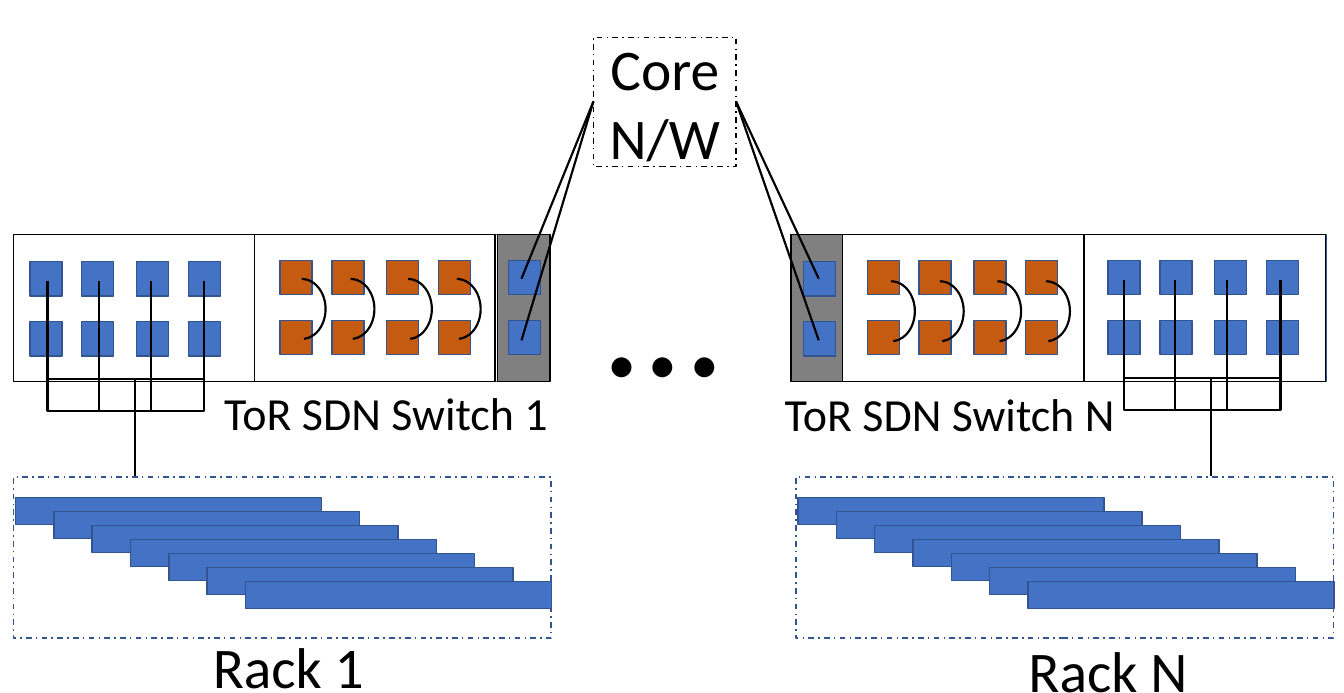
from dataclasses import dataclass

from lxml import etree
from pptx import Presentation
from pptx.dml.color import RGBColor
from pptx.enum.dml import MSO_LINE
from pptx.enum.shapes import MSO_CONNECTOR, MSO_SHAPE
from pptx.enum.text import MSO_ANCHOR, MSO_AUTO_SIZE, PP_ALIGN
from pptx.oxml.ns import qn
from pptx.util import Pt

BLACK, WHITE, GREY = "000000", "FFFFFF", "808080"
BLUE, NAVY, ORANGE = "4472C4", "325491", "C55A11"
SWITCH_TOP, SWITCH_HEIGHT = 163.4, 102.2
PANEL_WIDTH, UPLINK_WIDTH = 167.8, 36.7
PORT_WIDTH, PORT_HEIGHT = 22.3, 23.8
PORT_COLUMNS, PORT_ROW_STEP = (0, 36, 74.2, 110.2), 41.8
ARC_COLUMNS = (0, 34, 74, 108)
CABLE_COLUMNS, CABLE_ROWS = (0, 36, 72, 109.2), (0, 43.9)
TRUNK_OFFSET, TRUNK_DROP = 61, 136.4
RACK_TOP, RACK_WIDTH, RACK_HEIGHT = 332, 374.4, 112.3
SERVER_COUNT, SERVER_WIDTH, SERVER_HEIGHT = 7, 213, 18.7
SERVER_STEP_X, SERVER_STEP_Y = 26.7, 9.75


@dataclass
class Side:
    """Positions and labels of one switch with its rack."""
    switch_left: float
    server_panel: float
    loop_panel: float
    uplink_panel: float
    server_ports: tuple
    loop_ports: tuple
    uplink_ports: tuple
    loops: tuple
    cables: tuple
    uplink_x: float
    core_x: float
    switch_label: tuple
    rack_left: float
    rack_label: tuple


LEFT = Side(10, 9.4, 177.1, 346.3, (20.9, 182.2), (195.1, 181.4), (354.2, 181.4),
            (193.7, 194.2), (33.1, 195.8), 363.2, 413.3,
            ("ToR SDN Switch 1", 149, 264.2, 242.6), 9.4,
            ("Rack 1", 141.1, 435.6, 121))
RIGHT = Side(550.8, 755.3, 586.8, 550.8, (771.8, 181.4), (604.1, 181.4), (559.4, 182.2),
             (604.1, 195.8), (782.6, 195.1), 570.2, 512.6,
             ("ToR SDN Switch N", 539.3, 265, 247), 554.4,
             ("Rack N", 709.2, 438.5, 126.7))


def color(value):
    """Turn a hex string into a colour."""
    return RGBColor.from_string(value)


def style_line(shape, line_color, width):
    """Set the line colour and width of a shape."""
    shape.line.color.rgb = color(line_color)
    shape.line.width = Pt(width)


def add_box(shapes, left, top, width, height, fill, line_color, dashed=False):
    """Add a filled rectangle with a thin outline."""
    shape = shapes.add_shape(MSO_SHAPE.RECTANGLE, Pt(left), Pt(top), Pt(width), Pt(height))
    shape.shadow.inherit = False
    shape.fill.solid()
    shape.fill.fore_color.rgb = color(fill)
    style_line(shape, line_color, 1)
    if dashed:
        shape.line.dash_style = MSO_LINE.DASH_DOT
    return shape


def add_connector(shapes, kind, start, end):
    """Add a black connector without a shadow."""
    connector = shapes.add_connector(kind, *map(Pt, (*start, *end)))
    style_line(connector, BLACK, 1.5)
    etree.SubElement(connector._element.spPr, qn("a:effectLst"))
    return connector


def add_elbow(shapes, start, end):
    """Add a connector that runs down, across and down again."""
    center_x, center_y = (start[0] + end[0]) / 2, (start[1] + end[1]) / 2
    half_x, half_y = abs(end[0] - start[0]) / 2, (end[1] - start[1]) / 2
    direction = 1 if end[0] < start[0] else -1
    connector = add_connector(
        shapes, MSO_CONNECTOR.ELBOW,
        (center_x - direction * half_y, center_y - half_x),
        (center_x + direction * half_y, center_y + half_x))
    degrees = 90 if direction == 1 else 270
    connector._element.spPr.find(qn("a:xfrm")).set("rot", str(degrees * 60000))


def add_loop(shapes, left, top):
    """Add an arc that joins an upper port to a lower one."""
    arc = shapes.add_shape(MSO_SHAPE.ARC, Pt(left), Pt(top), Pt(33.1), Pt(41.8))
    arc.shadow.inherit = False
    arc.fill.background()
    arc.adjustments[0], arc.adjustments[1] = 162, 51.47
    style_line(arc, BLACK, 1.5)


def format_text(text_frame, size):
    """Give all runs the font, size and colour."""
    for paragraph in text_frame.paragraphs:
        for run in paragraph.runs:
            run.font.name = "Calibri"
            run.font.size = Pt(size)
            run.font.color.rgb = color(BLACK)


def add_label(shapes, text, left, top, width, height, size):
    """Add a text box on one line."""
    text_frame = shapes.add_textbox(Pt(left), Pt(top), Pt(width), Pt(height)).text_frame
    text_frame.text = text
    text_frame.word_wrap = False
    text_frame.auto_size = MSO_AUTO_SIZE.SHAPE_TO_FIT_TEXT
    format_text(text_frame, size)


def add_ports(shapes, origin, columns, fill):
    """Add two rows of ports."""
    for column in columns:
        for row in range(2):
            add_box(shapes, origin[0] + column, origin[1] + row * PORT_ROW_STEP,
                    PORT_WIDTH, PORT_HEIGHT, fill, NAVY)


def add_core(shapes):
    """Add the core network box."""
    core = add_box(shapes, 413.3, 25.9, 99.4, 90, WHITE, BLACK, dashed=True)
    text_frame = core.text_frame
    text_frame.text = "Core\nN/W"
    text_frame.vertical_anchor = MSO_ANCHOR.MIDDLE
    for paragraph in text_frame.paragraphs:
        paragraph.alignment = PP_ALIGN.CENTER
    format_text(text_frame, 40)


def add_switch(shapes, side):
    """Add a switch with its panels, ports and loops."""
    add_box(shapes, side.switch_left, SWITCH_TOP, 372.6, SWITCH_HEIGHT, WHITE, NAVY)
    for left, width, fill in ((side.uplink_panel, UPLINK_WIDTH, GREY),
                              (side.loop_panel, PANEL_WIDTH, WHITE),
                              (side.server_panel, PANEL_WIDTH, WHITE)):
        add_box(shapes, left, SWITCH_TOP, width, SWITCH_HEIGHT, fill, BLACK)
    add_ports(shapes.add_group_shape().shapes, side.server_ports, PORT_COLUMNS, BLUE)
    add_ports(shapes.add_group_shape().shapes, side.loop_ports, PORT_COLUMNS, ORANGE)
    add_ports(shapes, side.uplink_ports, (0,), BLUE)
    loops = shapes.add_group_shape().shapes
    for column in ARC_COLUMNS:
        add_loop(loops, side.loops[0] + column, side.loops[1])


def add_cables(shapes, side):
    """Connect the switch to the core and to its rack."""
    for start_y in (194, 236.9):
        add_connector(shapes, MSO_CONNECTOR.STRAIGHT,
                      (side.uplink_x, start_y), (side.core_x, 70.6))
    left, top = side.cables
    cables = shapes.add_group_shape().shapes
    for column in CABLE_COLUMNS:
        for row in CABLE_ROWS:
            add_elbow(cables, (left + column, top + row),
                      (left + TRUNK_OFFSET, top + TRUNK_DROP))


def add_rack(shapes, side):
    """Add a rack with its cascade of servers."""
    rack = shapes.add_group_shape().shapes
    add_box(rack, side.rack_left, RACK_TOP, RACK_WIDTH, RACK_HEIGHT, WHITE, NAVY, dashed=True)
    for index in range(SERVER_COUNT):
        add_box(rack, side.rack_left + 1.4 + index * SERVER_STEP_X,
                RACK_TOP + 14.3 + index * SERVER_STEP_Y,
                SERVER_WIDTH, SERVER_HEIGHT, BLUE, NAVY)


def main():
    """Build the slide and save it."""
    presentation = Presentation()
    presentation.slide_width, presentation.slide_height = Pt(936), Pt(482.4)
    shapes = presentation.slides.add_slide(presentation.slide_layouts[6]).shapes
    add_core(shapes)
    for side in (LEFT, RIGHT):
        add_switch(shapes, side)
        add_cables(shapes, side)
        add_label(shapes, *side.switch_label, 46, 32)
        add_label(shapes, *side.rack_label, 55.4, 40)
        add_rack(shapes, side)
    add_label(shapes, "…", 415.4, 143.3, 95, 146.9, 115)
    presentation.save("out.pptx")


if __name__ == "__main__":
    main()
